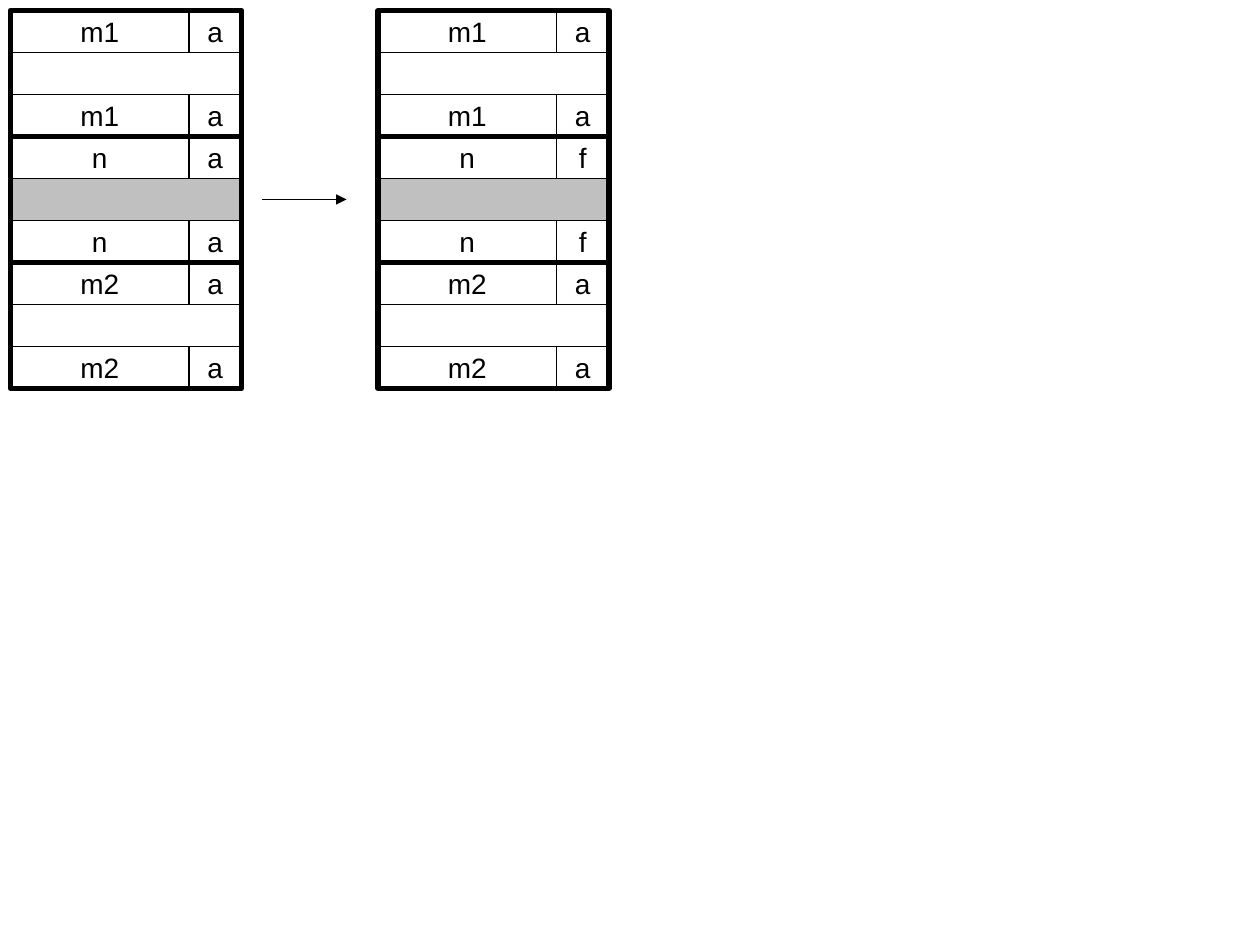
from lxml import etree
from pptx import Presentation
from pptx.dml.color import RGBColor
from pptx.enum.shapes import MSO_CONNECTOR as Connector, MSO_SHAPE as Shape
from pptx.enum.text import MSO_ANCHOR as Anchor, PP_ALIGN as Align
from pptx.oxml.ns import qn
from pptx.util import Inches, Pt

BLACK, WHITE, GREY = "000000", "FFFFFF", "C0C0C0"
UNIT = Inches(10) // 120
SIZE_COLS, TAG_COLS, ROW, GAP_COLS = 17, 5, 4, 13
BLOCK_COLS, BLOCK_ROWS = SIZE_COLS + TAG_COLS, 3 * ROW
FONT = {"name": "Arial", "size": Pt(16)}
FRAME = {"word_wrap": False, "vertical_anchor": Anchor.MIDDLE}


def paint(target, colour):
    target.solid()
    target.fore_color.rgb = RGBColor.from_string(colour)


def add_box(col, row, cols, rows, colour=None, border=1, label=""):
    box = slide.shapes.add_shape(
        Shape.RECTANGLE, col * UNIT, row * UNIT, cols * UNIT, rows * UNIT
    )
    box.shadow.inherit = False
    if colour:
        paint(box.fill, colour)
    else:
        box.fill.background()
    paint(box.line.fill, BLACK)
    box.line.width = Pt(border)
    if label:
        for key, value in FRAME.items():
            setattr(box.text_frame, key, value)
        line = box.text_frame.paragraphs[0]
        line.alignment = Align.CENTER
        run = line.add_run()
        run.text = label
        for key, value in FONT.items():
            setattr(run.font, key, value)
        paint(run.font.fill, BLACK)


deck = Presentation()
deck.slide_width, deck.slide_height = 120 * UNIT, 90 * UNIT
slide = deck.slides.add_slide(deck.slide_layouts[6])

before = [("m1", "a", WHITE), ("n", "a", GREY), ("m2", "a", WHITE)]
after = [("m1", "a", WHITE), ("n", "f", GREY), ("m2", "a", WHITE)]
heaps = [(1, before), (1 + BLOCK_COLS + GAP_COLS, after)]

for left, blocks in heaps:
    for index, (size, status, payload) in enumerate(blocks):
        top = 1 + index * BLOCK_ROWS
        add_box(left, top + ROW, BLOCK_COLS, ROW, payload)
        for tag_top in (top, top + 2 * ROW):
            add_box(left, tag_top, SIZE_COLS, ROW, WHITE, label=size)
            add_box(left + SIZE_COLS, tag_top, TAG_COLS, ROW, WHITE, label=status)
        add_box(left, top, BLOCK_COLS, BLOCK_ROWS, border=3)

arrow_row = 1 + 1.5 * BLOCK_ROWS
arrow = slide.shapes.add_connector(
    Connector.STRAIGHT,
    25 * UNIT, int(arrow_row * UNIT), 33 * UNIT, int(arrow_row * UNIT),
)
paint(arrow.line.fill, BLACK)
arrow.line.width = Pt(1)
outline = arrow.line._get_or_add_ln()
etree.SubElement(outline, qn("a:tailEnd"), type="triangle")
etree.SubElement(outline.getparent(), qn("a:effectLst"))

deck.save("out.pptx")
